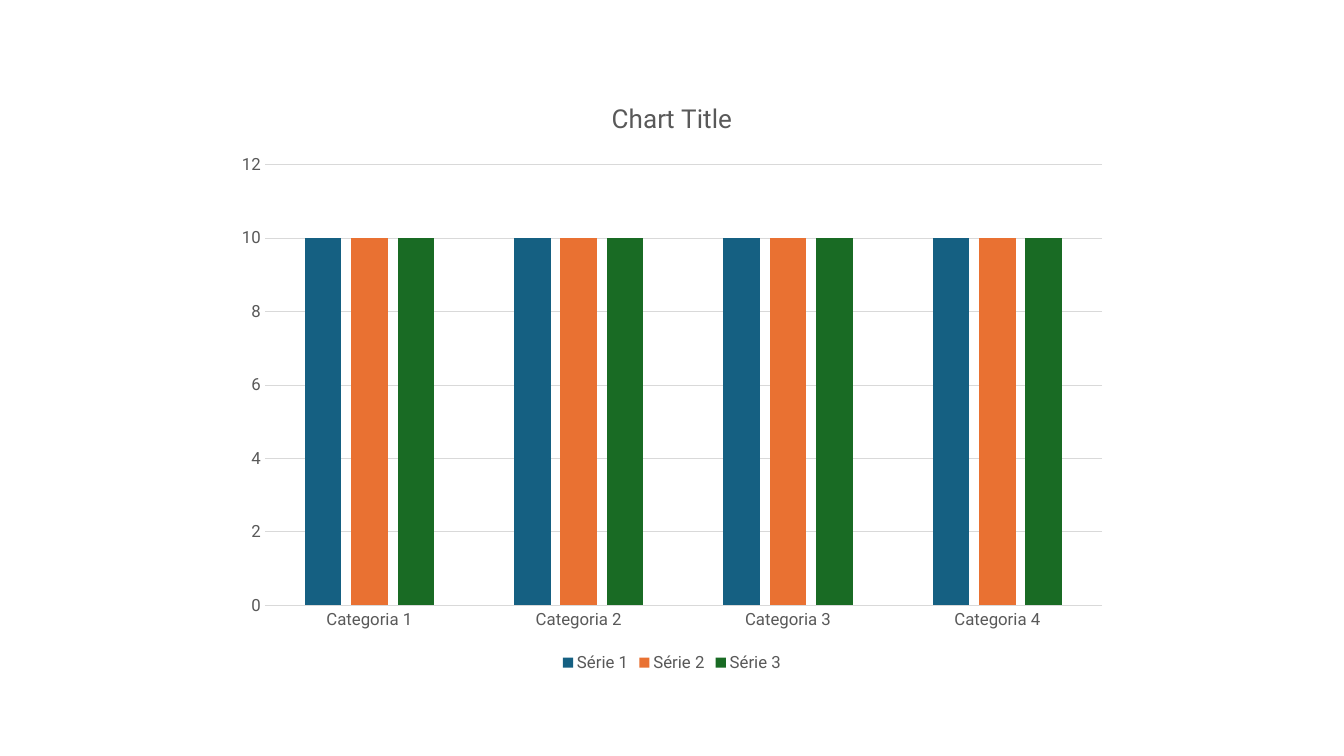
from dataclasses import dataclass

from pptx import Presentation
from pptx.chart.chart import Chart
from pptx.chart.data import CategoryChartData
from pptx.dml.color import RGBColor
from pptx.dml.line import LineFormat
from pptx.enum.chart import XL_CHART_TYPE, XL_LEGEND_POSITION, XL_TICK_MARK
from pptx.text.text import Font
from pptx.util import Pt

BLUE = RGBColor(0x15, 0x60, 0x82)
ORANGE = RGBColor(0xE9, 0x71, 0x32)
GREEN = RGBColor(0x19, 0x6B, 0x24)
TEXT_GRAY = RGBColor(0x59, 0x59, 0x59)
LINE_GRAY = RGBColor(0xD9, 0xD9, 0xD9)

FONT_NAME = "Roboto"
LABEL_SIZE = 12
TITLE_SIZE = 18.6


@dataclass(frozen=True)
class Series:
    name: str
    values: tuple[float, ...]
    color: RGBColor


CATEGORIES = [f"Categoria {number}" for number in range(1, 5)]
SERIES = [
    Series("Série 1", (10, 10, 10, 10), BLUE),
    Series("Série 2", (10, 10, 10, 10), ORANGE),
    Series("Série 3", (10, 10, 10, 10), GREEN),
]


def style_font(font: Font, size: float) -> None:
    font.name = FONT_NAME
    font.size = Pt(size)
    font.bold = False
    font.color.rgb = TEXT_GRAY


def style_line(line: LineFormat) -> None:
    line.color.rgb = LINE_GRAY
    line.width = Pt(0.75)


def style_title(chart: Chart) -> None:
    chart.has_title = True
    text_frame = chart.chart_title.text_frame
    text_frame.text = "Chart Title"
    style_font(text_frame.paragraphs[0].font, TITLE_SIZE)
    chart.chart_title.include_in_layout = False


def style_axes(chart: Chart) -> None:
    for axis in (chart.category_axis, chart.value_axis):
        axis.major_tick_mark = XL_TICK_MARK.NONE
        axis.minor_tick_mark = XL_TICK_MARK.NONE
        style_font(axis.tick_labels.font, LABEL_SIZE)
    style_line(chart.category_axis.format.line)

    value_axis = chart.value_axis
    value_axis.minimum_scale = 0
    value_axis.maximum_scale = 12
    value_axis.major_unit = 2
    value_axis.format.line.fill.background()
    value_axis.has_major_gridlines = True
    style_line(value_axis.major_gridlines.format.line)


def style_legend(chart: Chart) -> None:
    chart.has_legend = True
    chart.legend.position = XL_LEGEND_POSITION.BOTTOM
    chart.legend.include_in_layout = False
    style_font(chart.legend.font, LABEL_SIZE)


def style_columns(chart: Chart) -> None:
    plot = chart.plots[0]
    plot.vary_by_categories = False
    plot.gap_width = 219
    plot.overlap = -27
    for columns, series in zip(plot.series, SERIES):
        columns.format.fill.solid()
        columns.format.fill.fore_color.rgb = series.color


def main() -> None:
    presentation = Presentation()
    presentation.slide_width = Pt(960)
    presentation.slide_height = Pt(540)
    slide = presentation.slides.add_slide(presentation.slide_layouts[6])

    # Chart data
    chart_data = CategoryChartData()
    chart_data.categories = CATEGORIES
    for series in SERIES:
        chart_data.add_series(series.name, series.values)

    # Column chart, centred on the slide
    width, height = Pt(640), Pt(426.67)
    chart = slide.shapes.add_chart(
        XL_CHART_TYPE.COLUMN_CLUSTERED,
        (presentation.slide_width - width) // 2,
        (presentation.slide_height - height) // 2,
        width,
        height,
        chart_data,
    ).chart
    style_font(chart.font, LABEL_SIZE)
    style_title(chart)
    style_axes(chart)
    style_legend(chart)
    style_columns(chart)

    presentation.save("out.pptx")


if __name__ == "__main__":
    main()
